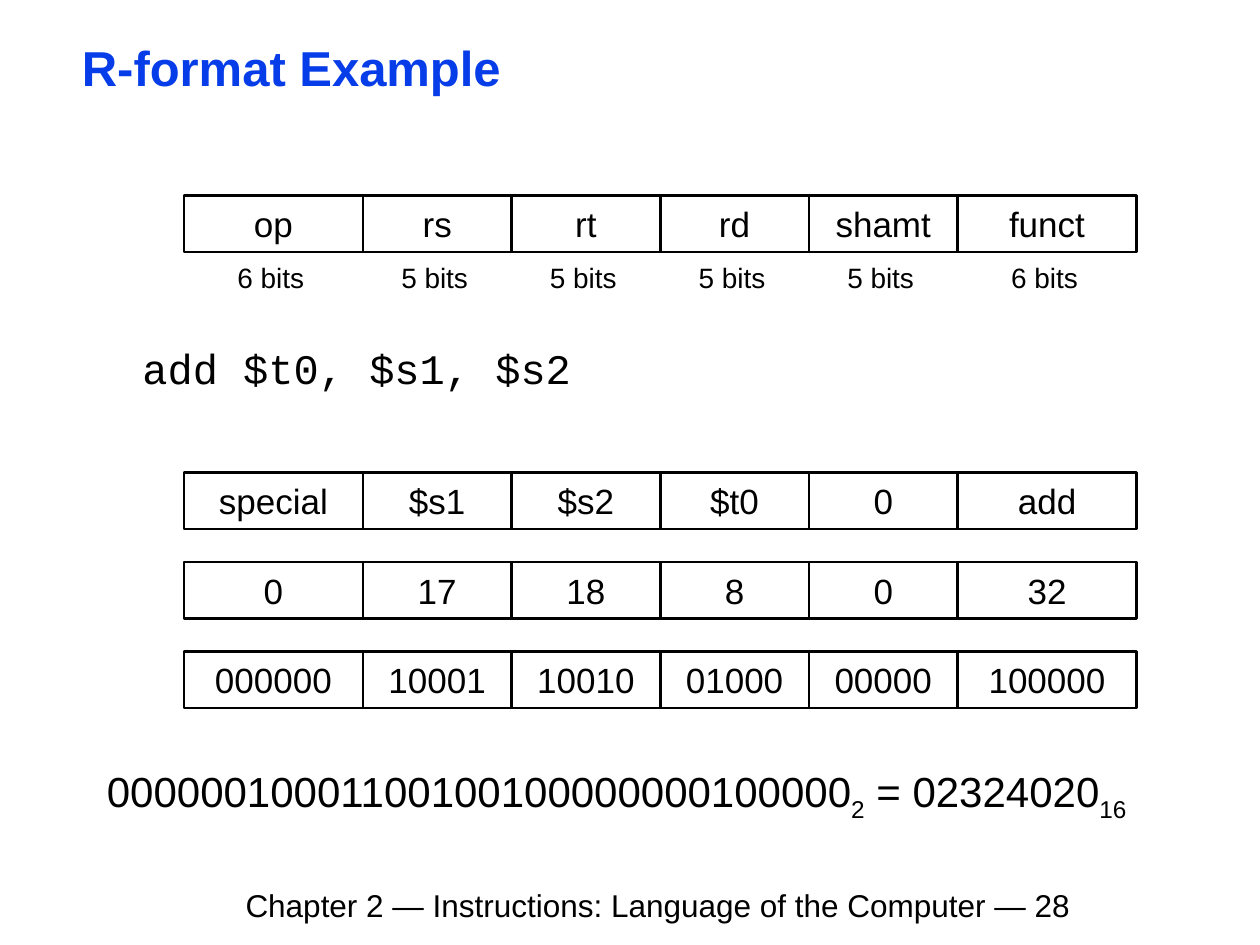
import pptx
import pptx.dml.color
import pptx.enum.shapes
import pptx.enum.text
import pptx.util

Inches = pptx.util.Inches
Pt = pptx.util.Pt
ALIGN = pptx.enum.text.PP_ALIGN
ANCHOR = pptx.enum.text.MSO_ANCHOR
BLACK = pptx.dml.color.RGBColor(0x00, 0x00, 0x00)
BLUE = pptx.dml.color.RGBColor(0x06, 0x3D, 0xE8)

BITS = [6, 5, 5, 5, 5, 6]
NAMES = ["op", "rs", "rt", "rd", "shamt", "funct"]
CODES = [
    ["special", "$s1", "$s2", "$t0", "0", "add"],
    ["0", "17", "18", "8", "0", "32"],
    ["000000", "10001", "10010", "01000", "00000", "100000"],
]


def style(para, size, color=BLACK, face="Arial", bold=False):
    """Format every run of a paragraph."""
    for run in para.runs:
        run.font.size = Pt(size)
        run.font.name = face
        run.font.bold = bold
        run.font.color.rgb = color


def inset(frame, side, top):
    """Set equal side margins and equal top and bottom margins."""
    frame.margin_left = frame.margin_right = Inches(side)
    frame.margin_top = frame.margin_bottom = Inches(top)


def add_text(shapes, box, text, size, face="Arial", wrap=True):
    """Add a text box and return its frame."""
    frame = shapes.add_textbox(*map(Inches, box)).text_frame
    frame.word_wrap = wrap
    frame.text = text
    style(frame.paragraphs[0], size, face=face)
    return frame


def set_title(slide, box, text):
    """Place and format the slide title."""
    title = slide.shapes.title
    title.left, title.top, title.width, title.height = map(Inches, box)
    frame = title.text_frame
    frame.text = text
    frame.auto_size = pptx.enum.text.MSO_AUTO_SIZE.NONE
    frame.vertical_anchor = ANCHOR.TOP
    inset(frame, 0.07, 0.03)
    para = frame.paragraphs[0]
    para.alignment = ALIGN.LEFT
    para.line_spacing = 0.87
    style(para, 28, BLUE, bold=True)


def split(box):
    """Yield the left edge and width of each field."""
    left, _, width, _ = box
    narrow = 1.18
    wide = (width - BITS.count(5) * narrow) / BITS.count(6)
    for bits in BITS:
        span = wide if bits == 6 else narrow
        yield left, span
        left += span


def add_row(shapes, box, words):
    """Draw one row of instruction fields."""
    _, top, _, height = box
    for (left, span), word in zip(split(box), words):
        cell = shapes.add_shape(
            pptx.enum.shapes.MSO_SHAPE.RECTANGLE,
            *map(Inches, (left, top, span, height)))
        cell.shadow.inherit = False
        cell.fill.background()
        cell.line.color.rgb = BLACK
        cell.line.width = Pt(1.5)
        frame = cell.text_frame
        frame.text = word
        frame.vertical_anchor = ANCHOR.MIDDLE
        para = frame.paragraphs[0]
        para.alignment = ALIGN.CENTER
        style(para, 20)


def add_head(slide, box):
    """Group the field names with their bit counts."""
    group = slide.shapes.add_group_shape().shapes
    add_row(group, box, NAMES)
    _, top, _, height = box
    width = 0.73
    for (left, span), bits in zip(split(box), BITS):
        spot = (left + (span - width) / 2 - 0.02, top + height + 0.02, width, 0.37)
        frame = add_text(group, spot, f"{bits} bits", 16, wrap=False)
        frame.paragraphs[0].alignment = ALIGN.CENTER


def add_code(slide, box, text):
    """Write the assembly instruction."""
    frame = add_text(slide.shapes, box, text, 24, "Courier New")
    inset(frame, 0.07, 0.03)
    frame.margin_left = Inches(0.38)
    frame.paragraphs[0].line_spacing = 0.9


def add_sum(slide, box):
    """Write the machine word in base two and base sixteen."""
    frame = add_text(slide.shapes, box, "", 24)
    para = frame.paragraphs[0]
    para.space_before = Pt(4.8)
    parts = [("".join(CODES[-1]), "2"), (" = 02324020", "16")]
    for word, base in parts:
        para.add_run().text = word
        low = para.add_run()
        low.text = base
        low.font._element.set("baseline", "-25000")
    style(para, 24)


def main():
    """Build and save the slide."""
    deck = pptx.Presentation()
    deck.slide_width, deck.slide_height = Inches(10), Inches(7.5)
    slide = deck.slides.add_slide(deck.slide_layouts[5])
    set_title(slide, (0.58, 0.33, 8.92, 0.46), "R-format Example")
    add_head(slide, (1.46, 1.55, 7.56, 0.45))
    add_code(slide, (0.75, 2.73, 9.05, 0.71), "add $t0, $s1, $s2")
    for i, words in enumerate(CODES):
        add_row(slide.shapes, (1.46, 3.75 + i * 0.71, 7.56, 0.45), words)
    add_sum(slide, (0.75, 6.03, 8.9, 0.55))
    add_text(slide.shapes, (1.85, 6.98, 7.95, 0.39),
             "Chapter 2 — Instructions: Language of the Computer — 28", 18)
    deck.save("out.pptx")


if __name__ == "__main__":
    main()
